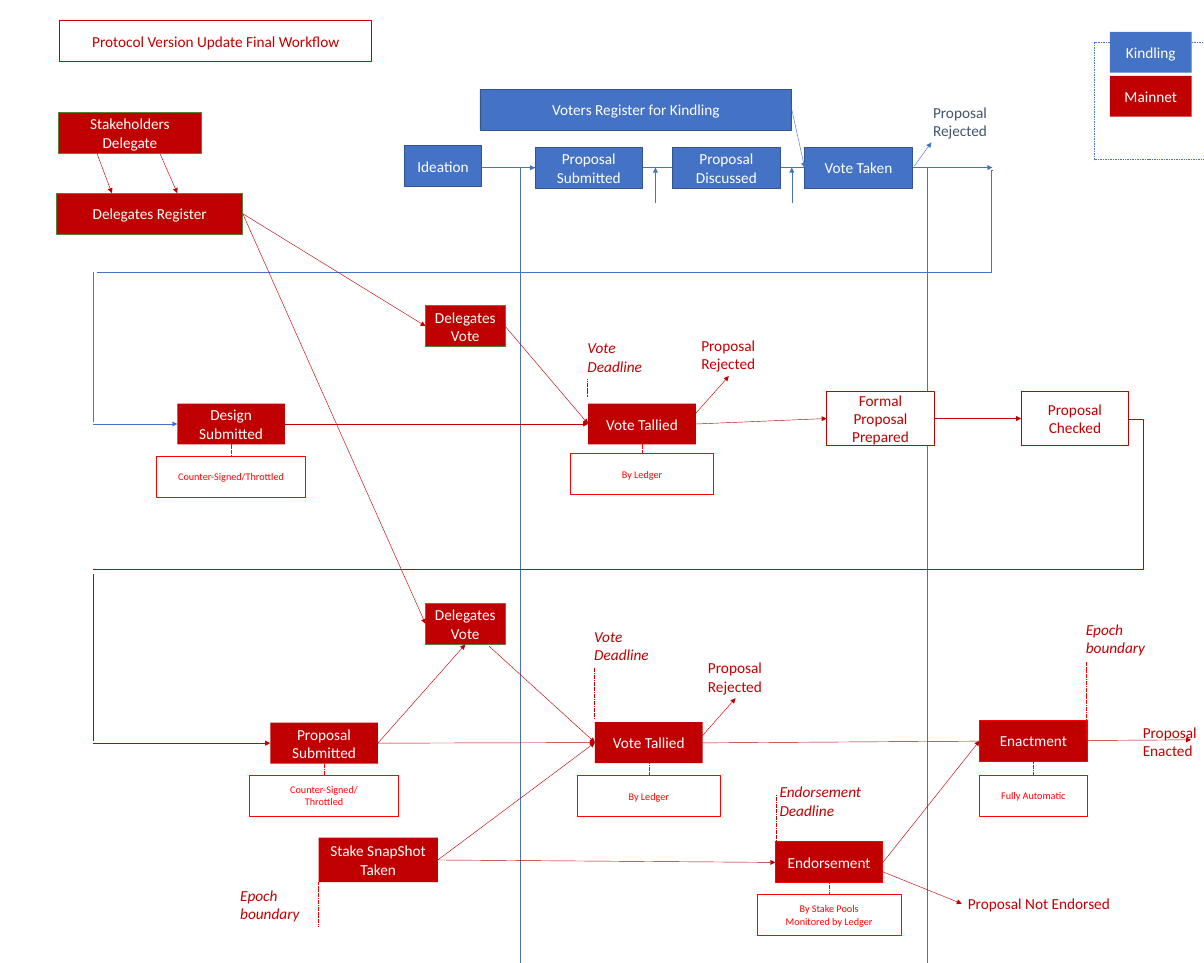
from lxml import etree
from pptx import Presentation
from pptx import util as u
from pptx.dml import color
from pptx.enum import dml, shapes, text
from pptx.oxml import ns

COLUMNS, ROWS = 19.69, 15.75
CELL = u.Inches(1)
BLUE, NAVY, CRIMSON, RED = "4472C4", "325491", "C00000", "FF0000"
GREEN, SLATE, WHITE = "548235", "44546A", "FFFFFF"
TOP, LEFT, BOTTOM, RIGHT = range(4)
STEP = (1.76, 0.67)


def cells(count):
    return u.Emu(round(count * CELL))


def paint(target, value):
    if value is None:
        target.background()
    else:
        target.solid()
        target.fore_color.rgb = color.RGBColor.from_string(value)


def write(shape, words, ink, size=18, align=text.PP_ALIGN.CENTER,
          anchor=text.MSO_ANCHOR.MIDDLE, italic=False, wrap=True):
    frame = shape.text_frame
    frame.text = words
    frame.word_wrap = wrap
    frame.auto_size = text.MSO_AUTO_SIZE.NONE
    frame.vertical_anchor = anchor
    for paragraph in frame.paragraphs:
        paragraph.alignment = align
        for run in paragraph.runs:
            run.font.name = "Calibri"
            run.font.size = u.Pt(size)
            run.font.italic = italic
            run.font.color.rgb = color.RGBColor.from_string(ink)


def outline(shape, fill, border):
    paint(shape.fill, fill)
    paint(shape.line.fill, border)
    if border:
        shape.line.width = u.Pt(1)


class Region:
    def __init__(self, slide, left, top):
        self.shapes, self.left, self.top = slide.shapes, left, top

    def place(self, x, y):
        return cells(self.left + x), cells(self.top + y)

    def box(self, words, x, y, size=STEP, fill=CRIMSON, border=None, ink=WHITE, points=18):
        shape = self.shapes.add_shape(shapes.MSO_SHAPE.RECTANGLE,
                                      *self.place(x, y), *map(cells, size))
        shape.shadow.inherit = False
        outline(shape, fill, border)
        if words:
            write(shape, words, ink, points)
        return shape

    def label(self, words, x, y, width=1.09, height=0.71, ink=CRIMSON, italic=False, wrap=False):
        shape = self.shapes.add_textbox(*self.place(x, y), cells(width), cells(height))
        write(shape, words, ink, 18, text.PP_ALIGN.LEFT, text.MSO_ANCHOR.TOP, italic, wrap)

    def moment(self, words, x, y, width=1.37):
        self.label(words, x, y, width, italic=True, wrap=True)

    def line(self, start, end, ink=CRIMSON, head=True, dash=False, bend=None):
        kind = shapes.MSO_CONNECTOR
        glued = [not isinstance(point[0], (int, float)) for point in (start, end)]
        points = [(0, 0) if glue else self.place(*point)
                  for glue, point in zip(glued, (start, end))]
        connector = self.shapes.add_connector(
            kind.STRAIGHT if bend is None else kind.ELBOW, *points[0], *points[1])
        if glued[0]:
            connector.begin_connect(*start)
        if glued[1]:
            connector.end_connect(*end)
        paint(connector.line.fill, ink)
        connector.line.width = u.Pt(0.5)
        if dash:
            connector.line.dash_style = dml.MSO_LINE.SQUARE_DOT
        properties = connector._element.spPr
        if head:
            etree.SubElement(properties.find(ns.qn("a:ln")), ns.qn("a:tailEnd"), type="triangle")
        if bend is not None:
            guides = properties.find(ns.qn("a:prstGeom")).find(ns.qn("a:avLst"))
            etree.SubElement(guides, ns.qn("a:gd"), name="adj1", fmla=f"val {round(bend * 100000)}")
        etree.SubElement(properties, ns.qn("a:effectLst"))

    def note(self, owner, words, width, gap=0.19):
        x = (owner.left + owner.width / 2) / CELL - width / 2 - self.left
        y = (owner.top + owner.height) / CELL + gap - self.top
        note = self.box(words, x, y, (width, 0.67), WHITE, RED, RED, 12)
        self.line((owner, BOTTOM), (note, TOP), RED, head=False, dash=True)


def heading(slide, left, top):
    title = slide.shapes.title
    title.left, title.top, title.width, title.height = map(cells, (left, top, 5.1, 0.67))
    outline(title, WHITE, CRIMSON)
    write(title, "Protocol Version Update Final Workflow", CRIMSON)


def legend(slide, left, top):
    region = Region(slide, left, top)
    frame = region.box("", 0, 0, (1.79, 1.92), None, BLUE)
    frame.line.dash_style = dml.MSO_LINE.ROUND_DOT
    for row, (words, fill) in enumerate([("Kindling", BLUE), ("Mainnet", CRIMSON)]):
        region.box(words, 0.25, 0.72 * row - 0.17, (1.34, 0.67), fill)


def idea_stage(slide, left, top):
    region = Region(slide, left, top)
    flow, floor = 1.28, ROWS - top
    region.line((0.07, flow), (9.61, flow), BLUE)
    for x in (1.88, 8.54):
        region.line((x, flow), (x, floor), BLUE, head=False)
    for x in (4.1, 6.33):
        region.line((x, 1.86), (x, flow), BLUE)
    steps = [("Voters Register for Kindling", 1.23, 0, (5.1, 0.67)),
             ("Ideation", 0, 0.92, (1.25, 0.67)),
             ("Proposal Submitted", 2.13, 0.95, STEP),
             ("Proposal Discussed", 4.38, 0.95, STEP),
             ("Vote Taken", 6.54, 0.95, STEP)]
    voters, _, submitted, _, taken = [region.box(*step, BLUE, NAVY) for step in steps]
    region.line((1.88, flow), (submitted, LEFT), BLUE)
    region.line((voters, RIGHT), (taken, LEFT), BLUE)
    region.label("Proposal\vRejected", 8.54, 0.18, ink=SLATE)
    region.line((8.33, 1.26), (8.61, 0.87), BLUE)
    region.line((9.61, 1.32), (-5.04, 2.99), BLUE, head=False, bend=0.001)


def delegation(slide, left, top):
    region = Region(slide, left, top)
    region.box("Stakeholders Delegate", 0.02, 0, (2.35, 0.67), border=GREEN)
    register = region.box("Delegates Register", 0, 1.32, (3.04, 0.67), border=GREEN)
    for start, end in [(0.66, 0.9), (1.69, 1.97)]:
        region.line((start, 0.68), (end, 1.32))
    return register


def delegates_vote(region, register):
    vote = region.box("Delegates Vote", 5.44, 0, (1.3, 0.67), border=GREEN)
    region.line((register, RIGHT), (vote, LEFT))
    return vote


def tally(region, x, y, shift, rise):
    tallied = region.box("Vote Tallied", x, y)
    base = y + shift
    region.note(tallied, "By Ledger", 2.35, 0.15 + shift)
    region.label("Proposal\vRejected", x + 1.75, base - 1.15)
    region.line((x + 1.75, base + 0.17), (x + 2.3, base - 0.45))
    region.moment("Vote Deadline", x - 0.11, y - rise)
    region.line((x - 0.02, y - rise + 0.71), (x - 0.02, base - 0.11), head=False, dash=True)
    return tallied


def entry(region, words, note, x, y, ink, rise):
    submitted = region.box(words, x, y)
    region.note(submitted, note, 2.43)
    middle = y + STEP[1] / 2
    region.line((0, rise), (0, middle - 0.04), ink, head=False)
    region.line((0, middle), (submitted, LEFT), ink)
    return submitted


def design_stage(slide, left, top, register):
    region = Region(slide, left, top)
    submitted = entry(region, "Design Submitted", "Counter-Signed/Throttled", 1.38, 1.6, BLUE, -0.55)
    vote = delegates_vote(region, register)
    tallied = tally(region, 8.1, 1.6, 0, 1.11)
    formal, checked = [region.box(words, x, 1.4, (1.76, 0.89), WHITE, CRIMSON, CRIMSON)
                       for words, x in [("Formal\vProposal\vPrepared", 12), ("Proposal\vChecked", 15.18)]]
    for start, end in [(vote, tallied), (submitted, tallied), (tallied, formal), (formal, checked)]:
        region.line((start, RIGHT), (end, LEFT))
    region.line((16.93, 1.85), (0, 4.31), head=False, bend=-0.015)


def final_stage(slide, left, top, register):
    region = Region(slide, left, top)
    region.line((9.96, 2.28), (17.96, 2.23))
    submitted = entry(region, "Proposal Submitted", "Counter-Signed/\vThrottled", 2.9, 1.95, CRIMSON, -0.48)
    vote = delegates_vote(region, register)
    tallied = tally(region, 8.21, 1.94, 0.06, 1.6)
    snapshot = region.box("Stake SnapShot\vTaken", 3.69, 3.83, (1.95, 0.73))
    endorsement = region.box("Endorsement", 11.16, 3.9, border=RED)
    enactment = region.box("Enactment", 14.5, 1.91, border=RED)
    region.note(endorsement, "By Stake Pools\vMonitored by Ledger", 2.35)
    region.note(enactment, "Fully Automatic", 1.76, 0.23)
    for start, end in [(submitted, tallied), (snapshot, tallied),
                       (snapshot, endorsement), (endorsement, enactment)]:
        region.line((start, RIGHT), (end, LEFT))
    region.line((submitted, RIGHT), (vote, BOTTOM))
    region.line((6.48, 0.7), (tallied, LEFT))
    region.line((12.5, 4.22), (14.21, 4.91))
    region.label("Proposal Not Endorsed", 14.21, 4.7, 3.06, 0.4)
    region.label("Proposal\vEnacted", 17.07, 1.91)
    region.moment("Epoch boundary", 16.14, 0.22)
    region.moment("Epoch boundary", 2.31, 4.57)
    region.moment("Endorsement Deadline", 11.13, 2.88, 1.61)
    for x, start, end, ink in [(16.25, 0.95, 2.24, RED), (3.69, 4.56, 5.29, RED),
                               (11.18, 3.13, 3.97, CRIMSON)]:
        region.line((x, start), (x, end), ink, head=False, dash=True)


presentation = Presentation()
presentation.slide_width, presentation.slide_height = cells(COLUMNS), cells(ROWS)
slide = presentation.slides.add_slide(presentation.slide_layouts[5])
heading(slide, 0.98, 0.34)
legend(slide, 17.9, 0.69)
idea_stage(slide, 6.62, 1.46)
register = delegation(slide, 0.93, 1.84)
design_stage(slide, 1.52, 5, register)
final_stage(slide, 1.52, 9.87, register)
presentation.save("out.pptx")
